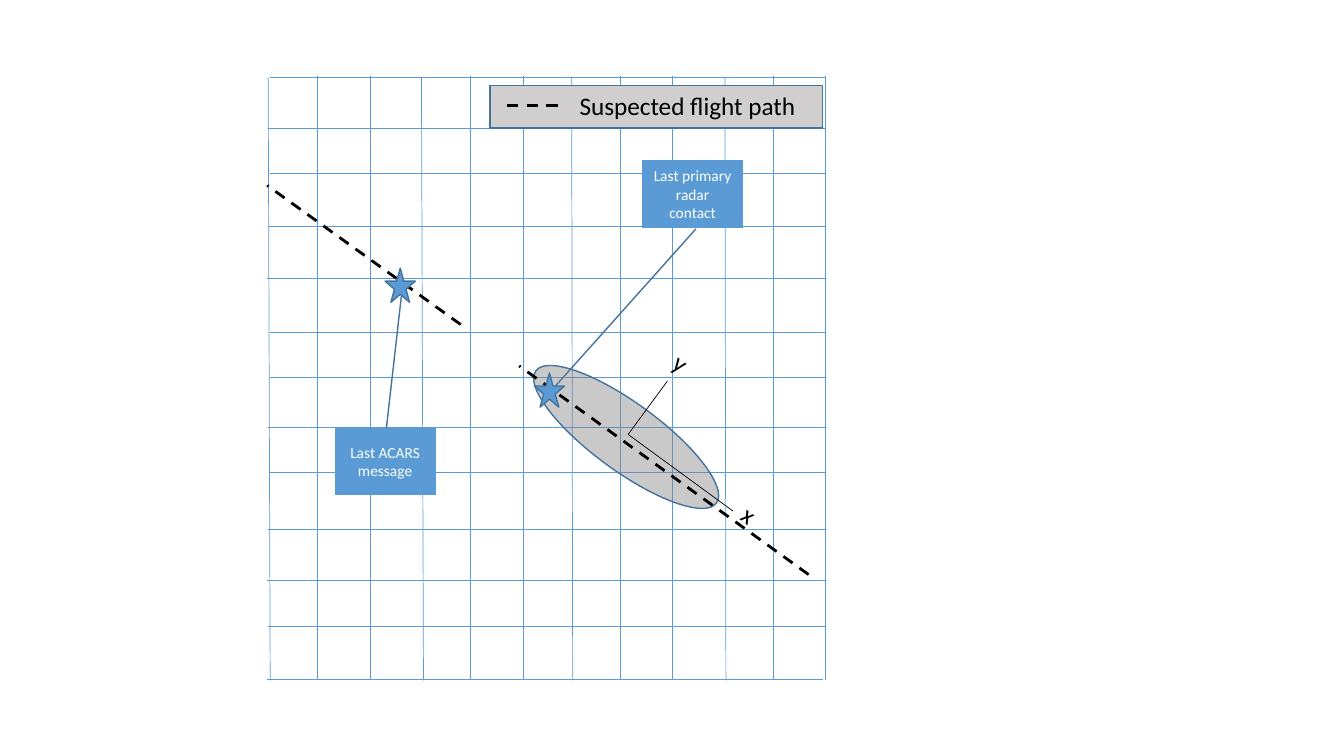
from lxml import etree
from pptx import Presentation
from pptx.dml.color import RGBColor
from pptx.enum.dml import MSO_LINE
from pptx.enum.shapes import MSO_CONNECTOR, MSO_SHAPE
from pptx.enum.text import MSO_ANCHOR, PP_ALIGN
from pptx.oxml.ns import qn
from pptx.util import Inches, Pt

STRAIGHT = MSO_CONNECTOR.STRAIGHT
DASH = MSO_LINE.DASH
CALLOUT = MSO_SHAPE.LINE_CALLOUT_1_NO_BORDER
STAR = MSO_SHAPE.STAR_5_POINT
OVAL = MSO_SHAPE.OVAL
RECTANGLE = MSO_SHAPE.RECTANGLE
MIDDLE = MSO_ANCHOR.MIDDLE
CENTER = PP_ALIGN.CENTER

BLUE, OUTLINE, BLACK, WHITE = "5B9BD5", "43739E", "000000", "FFFFFF"
FONT = "Calibri"
TILT = 36.2

GRID_COLUMNS = [
    (0.01, 0.03), (0.5, 0.5), (1.02, 1.02), (1.53, 1.55),
    (2.02, 2.02), (2.54, 2.54), (3.02, 3.03), (3.5, 3.5),
    (4.02, 4.02), (4.54, 4.55), (5.02, 5.02), (5.54, 5.54),
]
GRID_ROWS = [
    (0.02, 0.03, 5.54), (0.52, 0.01, 5.54), (0.97, 0.03, 5.54),
    (1.5, 0.01, 5.53), (2.01, 0, 5.53), (2.55, 0.03, 5.54),
    (2.99, 0.03, 5.54), (3.49, 0.01, 5.54), (3.94, 0.03, 5.54),
    (4.5, 0.01, 5.53), (5.01, 0, 5.53), (5.46, 0.01, 5.53),
    (5.99, 0, 5.51),
]


def rgb(color):
    return RGBColor.from_string(color)


def add_line(slide, x1, y1, x2, y2, color, width, dash=None):
    line = slide.shapes.add_connector(
        STRAIGHT, Inches(x1), Inches(y1), Inches(x2), Inches(y2))
    line.line.color.rgb = rgb(color)
    line.line.width = Pt(width)
    if dash:
        line.line.dash_style = dash
    etree.SubElement(line._element.spPr, qn("a:effectLst"))


def add_figure(slide, kind, x, y, width, height, fill):
    figure = slide.shapes.add_shape(
        kind, Inches(x), Inches(y), Inches(width), Inches(height))
    figure.shadow.inherit = False
    figure.fill.solid()
    figure.fill.fore_color.rgb = rgb(fill)
    figure.line.color.rgb = rgb(OUTLINE)
    figure.line.width = Pt(1)
    return figure


def style_text(paragraph, text, size, color):
    paragraph.text = text
    paragraph.font.name = FONT
    paragraph.font.size = Pt(size)
    paragraph.font.color.rgb = rgb(color)


def add_label(slide, text, x, y, width, height, rotation=0):
    label = slide.shapes.add_textbox(
        Inches(x), Inches(y), Inches(width), Inches(height))
    label.rotation = rotation
    label.text_frame.word_wrap = False
    style_text(label.text_frame.paragraphs[0], text, 18, BLACK)


def add_flight_path(slide, x1, y1, x2, y2):
    add_line(slide, x1, y1, x2, y2, BLACK, 2, DASH)


def add_star(slide, x, y):
    add_figure(slide, STAR, x, y, 0.3, 0.34, BLUE)


def add_callout(slide, text, x, y, pointer):
    callout = add_figure(slide, CALLOUT, x, y, 1, 0.67, BLUE)
    for index, value in enumerate(pointer):
        callout.adjustments[index] = value
    frame = callout.text_frame
    frame.word_wrap = True
    frame.vertical_anchor = MIDDLE
    style_text(frame.paragraphs[0], text, 11, WHITE)
    frame.paragraphs[0].alignment = CENTER


def add_grid(slide, left, top, height):
    for start, end in GRID_COLUMNS:
        inset = 0 if start == end else 0.02
        add_line(slide, left + start, top + inset, left + end, top + height, BLUE, 0.5)
    for offset, start, end in GRID_ROWS:
        add_line(slide, left + start, top + offset, left + end, top + offset, BLUE, 0.5)


def add_search_area(slide, left, top, width, height):
    area = add_figure(slide, OVAL, left, top, width, height, "808080")
    area.rotation = TILT
    fill_color = area.fill._xPr.find(qn("a:solidFill"))[0]
    etree.SubElement(fill_color, qn("a:alpha"), val="42000")
    origin_x, origin_y = left + 1.13, top + 0.31
    add_line(slide, left + 1.52, top - 0.22, origin_x, origin_y, BLACK, 0.5)
    add_line(slide, left + 2.17, top + 1.07, origin_x, origin_y, BLACK, 0.5)
    add_label(slide, "y", left + 1.5, top - 0.6, 0.32, 0.4, TILT)
    add_label(slide, "x", left + 2.18, top + 0.91, 0.32, 0.4, TILT)


def add_legend(slide, left, top, width, height):
    add_figure(slide, RECTANGLE, left, top, width, height, "D0CECE")
    add_flight_path(slide, left + 0.67, top + 0.2, left + 0.16, top + 0.2)
    add_label(slide, "Suspected flight path", left + 0.79, top, 2.37, 0.4)


def add_flight_map(slide, left, top, width, height):
    add_grid(slide, left, top, height)
    add_flight_path(slide, left + 1.92, top + 2.47, left, top + 1.09)
    add_callout(slide, "Last ACARS message", left + 0.67, top + 3.49,
                (-2.02, 0.667, 0.006, 0.513))
    add_callout(slide, "Last primary radar contact", left + 3.72, top + 0.84,
                (3.437, -0.917, 1.016, 0.533))
    add_star(slide, left + 1.17, top + 1.91)
    add_search_area(slide, left + 2.45, top + 3.25, 2.22, 0.67)
    add_flight_path(slide, left + 5.37, top + 4.95, left + 2.5, top + 2.88)
    add_star(slide, left + 2.65, top + 2.95)
    add_legend(slide, left + width - 3.33, top + 0.1, 3.3, 0.42)


def main():
    deck = Presentation()
    deck.slide_width = Inches(13.33)
    deck.slide_height = Inches(7.5)
    slide = deck.slides.add_slide(deck.slide_layouts[6])
    add_flight_map(slide, 2.65, 0.75, 5.54, 6)
    deck.save("out.pptx")


if __name__ == "__main__":
    main()
